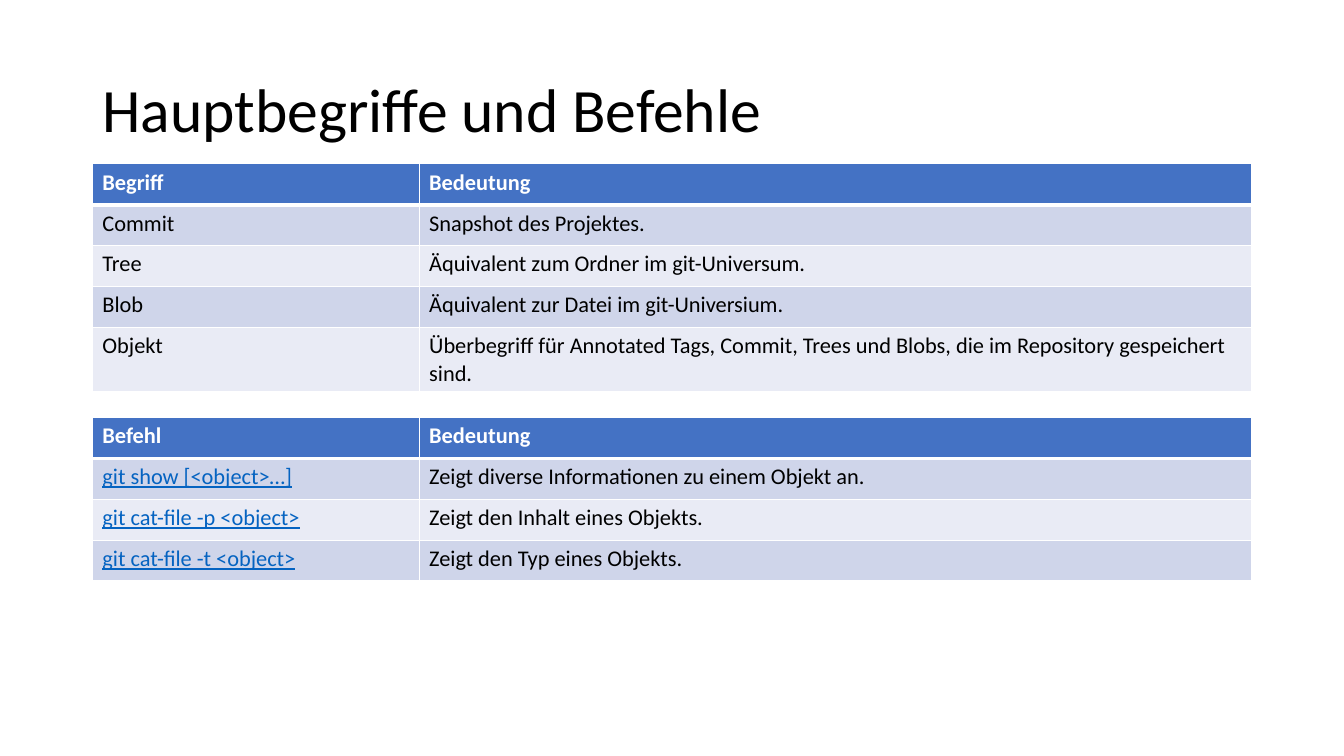
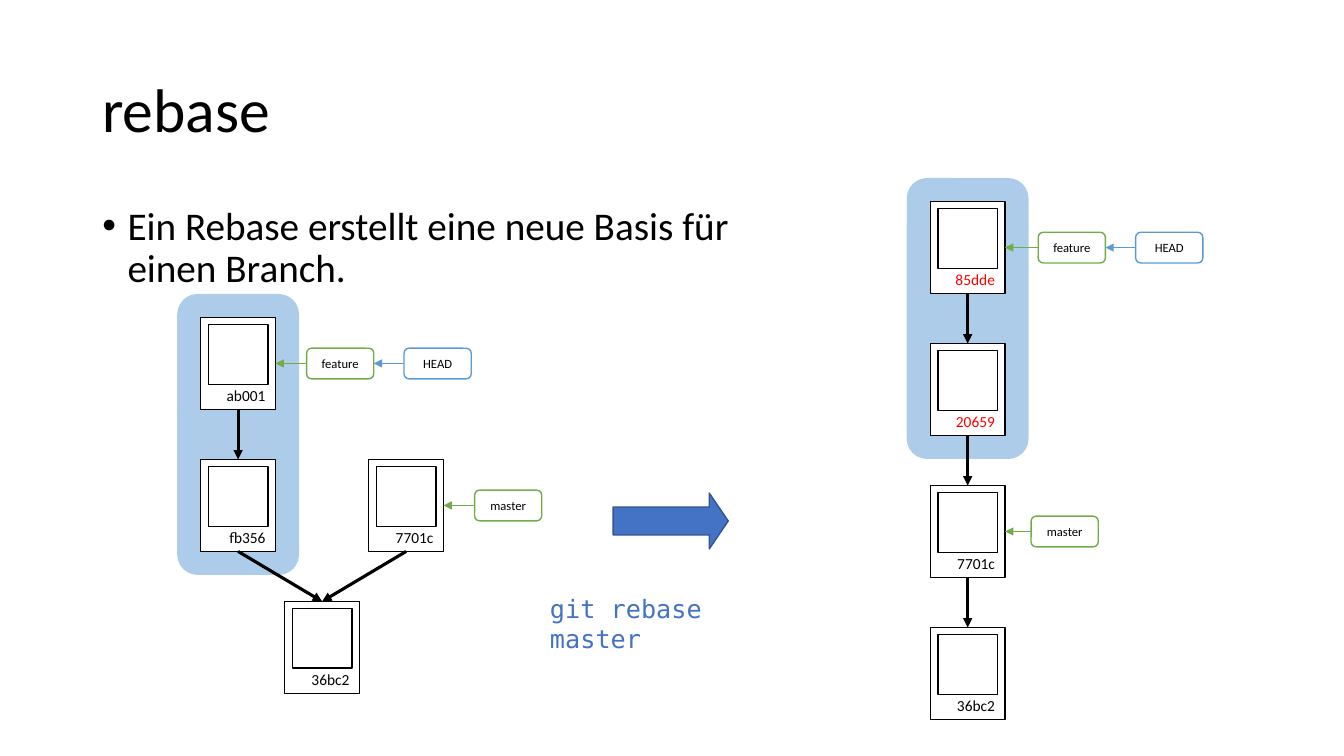
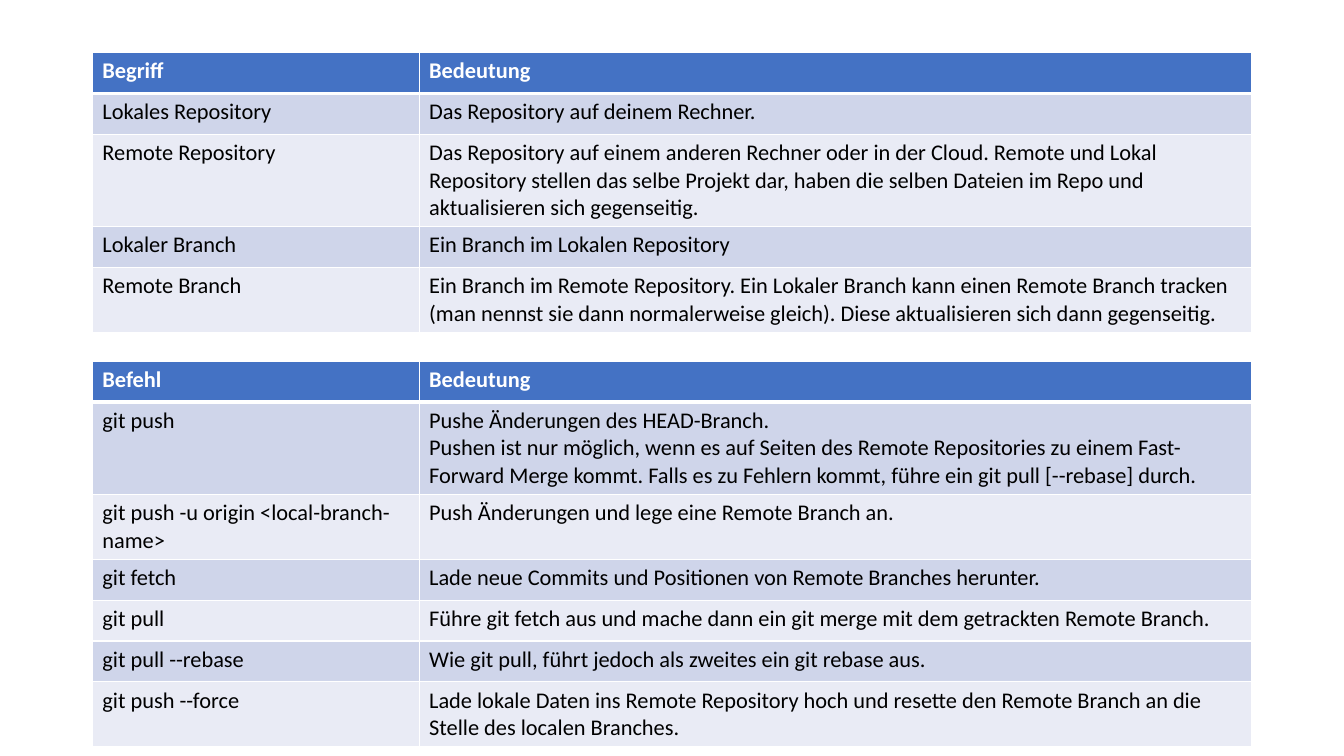
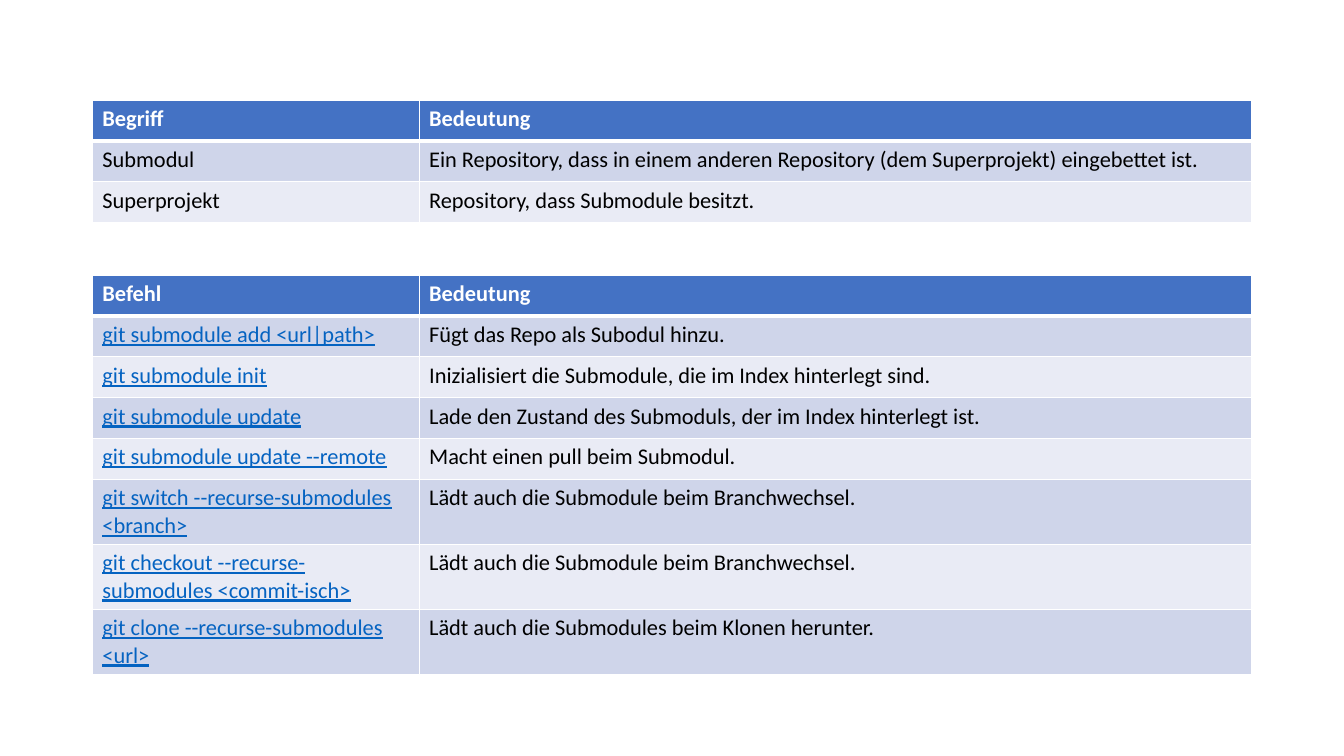
"""Build four slides on Git terms, commands and rebasing."""
import dataclasses

import lxml.etree
import pptx
import pptx.dml.color
import pptx.enum.shapes
import pptx.enum.text
import pptx.oxml.ns
import pptx.util

SHAPE = pptx.enum.shapes.MSO_SHAPE
ANCHOR = pptx.enum.text.MSO_ANCHOR
ALIGN = pptx.enum.text.PP_ALIGN
TOP, LEFT, BOTTOM, RIGHT = range(4)
COLS, ROWS = 160, 90
CELL = pptx.util.Inches(7.5) // ROWS


@dataclasses.dataclass(frozen=True)
class Theme:
    font: str = "Calibri"
    mono: str = "DejaVu Sans Mono"
    ink: str = "000000"
    paper: str = "FFFFFF"
    accent: str = "4472C4"
    accent_dark: str = "325491"
    sky: str = "5B9BD5"
    green: str = "70AD47"
    red: str = "FF0000"
    link: str = "0563C1"
    bands: tuple = ("CFD5EA", "E9EBF5")
    title: int = 44
    body: int = 28
    code: int = 18
    table: int = 16
    commit: int = 11
    tag: int = 9
    thin: float = 1
    bold: float = 2.25
    rule: float = 3


THEME = Theme()


def rgb(color):
    return pptx.dml.color.RGBColor.from_string(color)


def cells(n):
    return round(n * CELL)


def add_xml(parent, tag, **attrs):
    return lxml.etree.SubElement(parent, pptx.oxml.ns.qn(tag), attrs)


def write(tf, text, size, color=THEME.ink, font=THEME.font, bold=False, underline=False,
          align=ALIGN.LEFT, anchor=ANCHOR.TOP, spacing=None, bullet=False):
    tf.word_wrap = True
    tf.vertical_anchor = anchor
    for i, line in enumerate(text.split("\n")):
        p = tf.add_paragraph() if i else tf.paragraphs[0]
        if bullet:
            pPr = p._p.get_or_add_pPr()
            indent = pptx.util.Inches(0.25)
            pPr.set("marL", str(indent))
            pPr.set("indent", str(-indent))
            add_xml(pPr, "a:buFont", typeface="Arial")
            add_xml(pPr, "a:buChar", char="•")
        p.alignment = align
        if spacing:
            p.line_spacing = spacing
        r = p.add_run()
        r.text = line
        r.font.name = font
        r.font.size = pptx.util.Pt(size)
        r.font.bold = bold
        r.font.underline = underline
        r.font.color.rgb = rgb(color)


class Deck:
    CARD_W, CARD_H = 8.9, 10.95
    STEP_X, STEP_Y = 10, 16.9

    def __init__(self, theme):
        self.theme = theme
        self.prs = pptx.Presentation()
        self.prs.slide_width = cells(COLS)
        self.prs.slide_height = cells(ROWS)

    def new_slide(self):
        self.s = self.prs.slides.add_slide(self.prs.slide_layouts[6])

    def text(self, box, text, size, **fmt):
        sp = self.s.shapes.add_textbox(*map(cells, box))
        write(sp.text_frame, text, size, **fmt)

    def title(self, text):
        self.text((11, 4.75, 138, 17.4), text, self.theme.title, anchor=ANCHOR.MIDDLE, spacing=0.9)

    def shape(self, kind, box, fill, line=None):
        sp = self.s.shapes.add_shape(kind, *map(cells, box))
        sp.shadow.inherit = False
        sp.fill.solid()
        sp.fill.fore_color.rgb = rgb(fill)
        if line:
            sp.line.color.rgb = rgb(line)
            sp.line.width = pptx.util.Pt(self.theme.thin)
        else:
            sp.line.fill.background()
        return sp

    def link(self, start, start_site, end, end_site, color, width):
        sp = self.s.shapes.add_connector(pptx.enum.shapes.MSO_CONNECTOR.STRAIGHT, 0, 0, 0, 0)
        sp.begin_connect(start, start_site)
        sp.end_connect(end, end_site)
        sp.line.color.rgb = rgb(color)
        sp.line.width = pptx.util.Pt(width)
        add_xml(sp.line._get_or_add_ln(), "a:tailEnd", type="triangle")
        add_xml(sp._element.spPr, "a:effectLst")

    def highlight(self, x, y, pad=2.8):
        box = (x - pad, y - pad, self.CARD_W + 2 * pad, self.STEP_Y + self.CARD_H + 2 * pad)
        sp = self.shape(SHAPE.ROUNDED_RECTANGLE, box, self.theme.sky)
        color = next(sp._element.spPr.iter(pptx.oxml.ns.qn("a:srgbClr")))
        add_xml(color, "a:alpha", val="50000")

    def commit(self, x, y, name, col=0, row=0, color=THEME.ink):
        t = self.theme
        left, top = x + col * self.STEP_X, y + row * self.STEP_Y
        sp = self.shape(SHAPE.RECTANGLE, (left, top, self.CARD_W, self.CARD_H), t.paper, t.ink)
        write(sp.text_frame, name, t.commit, color=color, align=ALIGN.RIGHT, anchor=ANCHOR.BOTTOM)
        self.shape(SHAPE.RECTANGLE, (left + 0.9, top + 0.85, 7.1, 7.1), t.paper, t.ink)
        return sp

    def parent(self, child, commit):
        self.link(child, BOTTOM, commit, TOP, self.theme.ink, self.theme.bold)

    def tag(self, target, name, gap, color):
        w, h = 8, 3.65
        left = (target.left + target.width) / CELL + gap
        top = (target.top + target.height / 2) / CELL - h / 2
        sp = self.shape(SHAPE.ROUNDED_RECTANGLE, (left, top, w, h), self.theme.paper, color)
        write(sp.text_frame, name, self.theme.tag, align=ALIGN.CENTER, anchor=ANCHOR.MIDDLE)
        self.link(sp, LEFT, target, RIGHT, color, self.theme.thin)
        return sp

    def borders(self, cell, top, bottom):
        thin = self.theme.thin
        tcPr = cell._tc.get_or_add_tcPr()
        for side, width in zip("LRTB", (thin, thin, top, bottom)):
            ln = add_xml(tcPr, f"a:ln{side}", w=str(pptx.util.Pt(width)))
            add_xml(add_xml(ln, "a:solidFill"), "a:srgbClr", val=self.theme.paper)

    def table(self, y, term, rows, linked=False):
        t = self.theme
        rows = [(term, "Bedeutung"), *rows]
        widths, row_h = (38.9, 99.1), 4.87
        frame = self.s.shapes.add_table(len(rows), 2, cells(11), cells(y), cells(sum(widths)),
                                        cells(row_h * len(rows)))
        tbl = frame.table
        tbl.horz_banding = False
        for c, width in enumerate(widths):
            tbl.columns[c].width = cells(width)
        for r, row in enumerate(rows):
            tbl.rows[r].height = cells(row_h)
            for c, text in enumerate(row):
                cell = tbl.cell(r, c)
                head, link = r == 0, linked and r > 0 and c == 0
                self.borders(cell, t.rule if r == 1 else t.thin, t.rule if head else t.thin)
                cell.fill.solid()
                cell.fill.fore_color.rgb = rgb(t.accent if head else t.bands[(r - 1) % 2])
                color = t.paper if head else t.link if link else t.ink
                write(cell.text_frame, text, t.table, color=color, bold=head, underline=link)


def objects_slide(d):
    d.new_slide()
    d.title("Hauptbegriffe und Befehle")
    d.table(19.5, "Begriff", [
        ("Commit", "Snapshot des Projektes."),
        ("Tree", "Äquivalent zum Ordner im git-Universum."),
        ("Blob", "Äquivalent zur Datei im git-Universium."),
        ("Objekt", "Überbegriff für Annotated Tags, Commit, Trees und Blobs, "
                   "die im Repository gespeichert sind."),
    ])
    d.table(49.7, "Befehl", [
        ("git show [<object>…]", "Zeigt diverse Informationen zu einem Objekt an."),
        ("git cat-file -p <object>", "Zeigt den Inhalt eines Objekts."),
        ("git cat-file -t <object>", "Zeigt den Typ eines Objekts."),
    ], linked=True)


def rebase_slide(d):
    t = d.theme
    before, after = (23.9, 37.8), (110.75, 24)
    d.new_slide()
    d.highlight(*after)
    d.highlight(*before)
    d.title("rebase")

    base = d.commit(*before, "36bc2", col=1, row=2)
    tip = d.commit(*before, "ab001")
    first = d.commit(*before, "fb356", row=1)
    main = d.commit(*before, "7701c", col=2, row=1)
    for child, commit in ((tip, first), (first, base), (main, base)):
        d.parent(child, commit)

    names = (("85dde", t.red), ("20659", t.red), ("7701c", t.ink), ("36bc2", t.ink))
    chain = [d.commit(*after, name, row=i, color=color) for i, (name, color) in enumerate(names)]
    for child, commit in zip(chain, chain[1:]):
        d.parent(child, commit)

    for commit, name, gap in ((main, "master", 3.7), (tip, "feature", 3.7),
                              (chain[2], "master", 3.1), (chain[0], "feature", 3.95)):
        label = d.tag(commit, name, gap, t.green)
        if name == "feature":
            d.tag(label, "HEAD", 3.6, t.sky)

    arrow = d.shape(SHAPE.RIGHT_ARROW, (73, 58.7, 13.7, 6.65), t.accent, t.accent_dark)
    arrow.adjustments[0], arrow.adjustments[1] = 0.5, 0.34
    d.text((64.3, 70, 30.7, 4.8), "git rebase master", t.code, color=t.accent, font=t.mono)
    d.text((11, 24, 88.2, 57.1), "Ein Rebase erstellt eine neue Basis für einen Branch.",
           t.body, spacing=0.9, bullet=True)


def remote_slide(d):
    d.new_slide()
    d.table(6.25, "Begriff", [
        ("Lokales Repository", "Das Repository auf deinem Rechner."),
        ("Remote Repository",
         "Das Repository auf einem anderen Rechner oder in der Cloud. Remote und Lokal Repository "
         "stellen das selbe Projekt dar, haben die selben Dateien im Repo und aktualisieren sich "
         "gegenseitig."),
        ("Lokaler Branch", "Ein Branch im Lokalen Repository"),
        ("Remote Branch",
         "Ein Branch im Remote Repository. Ein Lokaler Branch kann einen Remote Branch tracken "
         "(man nennst sie dann normalerweise gleich). Diese aktualisieren sich dann gegenseitig."),
    ])
    d.table(43, "Befehl", [
        ("git push",
         "Pushe Änderungen des HEAD-Branch.\n"
         "Pushen ist nur möglich, wenn es auf Seiten des Remote Repositories zu einem Fast-Forward "
         "Merge kommt. Falls es zu Fehlern kommt, führe ein git pull [--rebase] durch."),
        ("git push -u origin <local-branch-name>", "Push Änderungen und lege eine Remote Branch an."),
        ("git fetch", "Lade neue Commits und Positionen von Remote Branches herunter."),
        ("git pull",
         "Führe git fetch aus und mache dann ein git merge mit dem getrackten Remote Branch."),
        ("git pull --rebase", "Wie git pull, führt jedoch als zweites ein git rebase aus."),
        ("git push --force",
         "Lade lokale Daten ins Remote Repository hoch und resette den Remote Branch an die Stelle "
         "des localen Branches."),
    ])


def submodule_slide(d):
    d.new_slide()
    d.table(11.9, "Begriff", [
        ("Submodul",
         "Ein Repository, dass in einem anderen Repository (dem Superprojekt) eingebettet ist."),
        ("Superprojekt", "Repository, dass Submodule besitzt."),
    ])
    d.table(32.75, "Befehl", [
        ("git submodule add <url|path>", "Fügt das Repo als Subodul hinzu."),
        ("git submodule init", "Inizialisiert die Submodule, die im Index hinterlegt sind."),
        ("git submodule update", "Lade den Zustand des Submoduls, der im Index hinterlegt ist."),
        ("git submodule update --remote", "Macht einen pull beim Submodul."),
        ("git switch --recurse-submodules <branch>", "Lädt auch die Submodule beim Branchwechsel."),
        ("git checkout --recurse-submodules <commit-isch>",
         "Lädt auch die Submodule beim Branchwechsel."),
        ("git clone --recurse-submodules <url>", "Lädt auch die Submodules beim Klonen herunter."),
    ], linked=True)


def main():
    d = Deck(THEME)
    for build in (objects_slide, rebase_slide, remote_slide, submodule_slide):
        build(d)
    d.prs.save("out.pptx")


if __name__ == "__main__":
    main()
